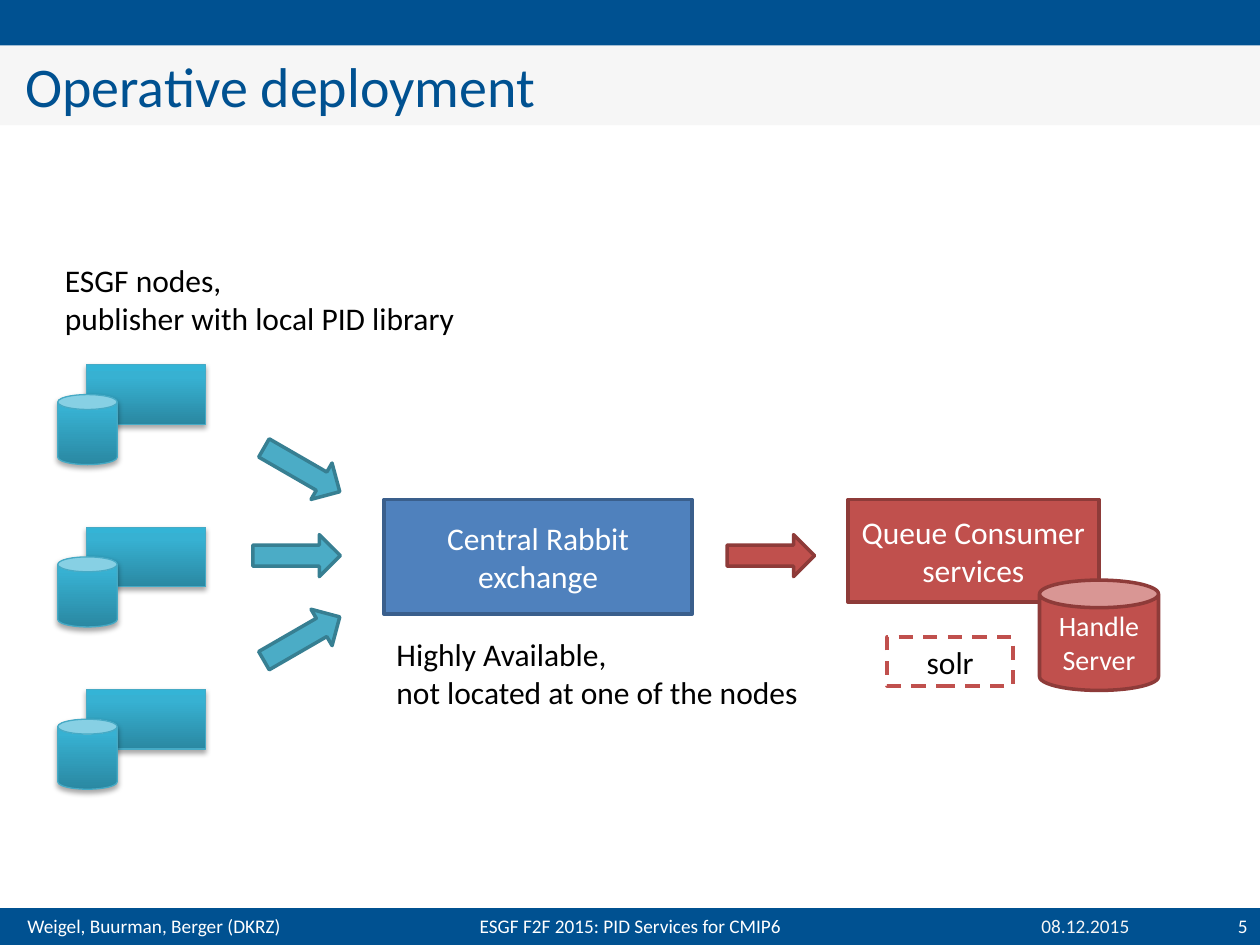
from copy import deepcopy

from lxml.etree import SubElement
from pptx import Presentation
from pptx.dml.color import RGBColor
from pptx.enum.dml import MSO_LINE_DASH_STYLE as DASH
from pptx.enum.shapes import MSO_SHAPE as SHAPE
from pptx.enum.text import MSO_ANCHOR as ANCHOR, PP_ALIGN as ALIGN
from pptx.oxml.ns import qn
from pptx.util import Pt

COLORS = {
    "brand": "005191", "band": "F6F6F6", "white": "FFFFFF", "black": "000000",
    "blue": "4F81BD", "blue_edge": "3A5F8C", "red": "C0504D", "red_edge": "8E3B39",
    "teal": "4BACC6", "teal_edge": "377F92", "node_edge": "46AAC5",
    "node_dark": "2A88A2", "node_mid": "37B1D2", "node_light": "34B4D6",
}


def rgb(name):
    """Return the named palette colour."""
    return RGBColor.from_string(COLORS[name])


def write(shape, text, size=18, color="black", align=ALIGN.LEFT, anchor=ANCHOR.TOP,
          wrap=True, inset=7.2):
    """Put formatted text, one paragraph per line, into a shape."""
    frame = shape.text_frame
    frame.text = text
    frame.word_wrap = wrap
    frame.vertical_anchor = anchor
    frame.margin_left = frame.margin_right = Pt(inset)
    frame.margin_top = frame.margin_bottom = Pt(3.6)
    for paragraph in frame.paragraphs:
        paragraph.alignment = align
        paragraph.font.name = "Calibri"
        paragraph.font.size = Pt(size)
        paragraph.font.color.rgb = rgb(color)


def add_label(shapes, box, text, **style):
    """Add a text box."""
    write(shapes.add_textbox(*map(Pt, box)), text, **style)


def add_block(shapes, kind, box, fill, edge=None, weight=2, text="", **style):
    """Add a flat preset shape with optional outline and centred text."""
    block = shapes.add_shape(kind, *map(Pt, box))
    block.shadow.inherit = False
    block.fill.solid()
    block.fill.fore_color.rgb = rgb(fill)
    if edge:
        block.line.color.rgb = rgb(edge)
        block.line.width = Pt(weight)
    else:
        block.line.fill.background()
    if text:
        write(block, text, **{"color": "white", "align": ALIGN.CENTER,
                              "anchor": ANCHOR.MIDDLE, **style})
    return block


def shade(block):
    """Give a node part its vertical gradient and soft drop shadow."""
    block.fill.gradient()
    block.fill.gradient_angle = 90
    stop_list = block._element.spPr.find(".//" + qn("a:gsLst"))
    stop_list.append(deepcopy(stop_list[0]))
    levels = ((0, "node_dark"), (0.8, "node_mid"), (1, "node_light"))
    for stop, (position, color) in zip(block.fill.gradient_stops, levels):
        stop.position = position
        stop.color.rgb = rgb(color)
    effects = block._element.spPr.find(qn("a:effectLst"))
    shadow = SubElement(effects, qn("a:outerShdw"), blurRad=str(Pt(3.1)),
                        dist=str(Pt(1.8)), dir="5400000", rotWithShape="0")
    tint = SubElement(shadow, qn("a:srgbClr"), val=COLORS["black"])
    SubElement(tint, qn("a:alpha"), val="35000")


def build_header(slide, left, top, width, height):
    """Place the top bar and the title band."""
    bar = 26
    add_block(slide.shapes, SHAPE.RECTANGLE, (left, top, width, bar), "brand")
    title = slide.shapes.title
    title.left, title.top = Pt(left), Pt(top + bar)
    title.width, title.height = Pt(width), Pt(height - bar)
    title.fill.solid()
    title.fill.fore_color.rgb = rgb("band")
    write(title, "Operative deployment", size=32, color="brand",
          anchor=ANCHOR.MIDDLE, inset=14.4)


def build_footer(slide, left, top, width, height):
    """Place the bottom bar with authors, event, date and page number."""
    add_block(slide.shapes, SHAPE.RECTANGLE, (left, top, width, height), "brand")
    entries = (
        (8.5, 187.5, "Weigel, Buurman, Berger (DKRZ)", ALIGN.LEFT, "white"),
        (156, 408.5, "ESGF F2F 2015: PID Services for CMIP6", ALIGN.CENTER, "white"),
        (569.5, 83, "08.12.2015", ALIGN.RIGHT, "band"),
        (660, 60, "5", ALIGN.RIGHT, "white"),
    )
    for offset, span, text, align, color in entries:
        add_label(slide.shapes, (left + offset, top, span, height), text,
                  size=11, color=color, align=align)


def build_node(slide, left, top, width, height):
    """Place one grouped node: a server with its database."""
    node = slide.shapes.add_group_shape().shapes
    server = (left + width - 68, top, 68, 34)
    database = (left, top + height - 40, 34, 40)
    for kind, box in ((SHAPE.RECTANGLE, server), (SHAPE.CAN, database)):
        shade(add_block(node, kind, box, "teal", "node_edge", weight=0.75))


def build_nodes(slide, left, top, width, height):
    """Place the caption, three nodes and the arrows leaving them."""
    add_label(slide.shapes, (left, top, width, 51),
              "ESGF nodes,\npublisher with local PID library", wrap=False)
    node_height, pitch = 57, 92.75
    first = top + height - node_height - 2 * pitch
    for row in range(3):
        build_node(slide, left + 3, first + row * pitch, 84.5, node_height)
    for x, y, angle in ((117.5, 111, 30), (114.5, 160, 0), (117.5, 207.5, -30)):
        arrow = add_block(slide.shapes, SHAPE.RIGHT_ARROW, (left + x, top + y, 50, 24),
                          "teal", "teal_edge")
        arrow.rotation = angle


def build_exchange(slide, left, top, width, height):
    """Place the central exchange, its note and the outgoing arrow."""
    add_block(slide.shapes, SHAPE.RECTANGLE, (left, top, 176, 65.5), "blue", "blue_edge",
              text="Central Rabbit exchange")
    add_label(slide.shapes, (left, top + height - 51, width, 51),
              "Highly Available,\nnot located at one of the nodes", wrap=False)
    add_block(slide.shapes, SHAPE.RIGHT_ARROW, (left + 196, top + 20, 50, 24),
              "red", "red_edge")


def build_consumer(slide, left, top, width, height):
    """Place the consumer services, the handle server and the search index."""
    add_block(slide.shapes, SHAPE.RECTANGLE, (left, top, 143.5, 58.5), "red", "red_edge",
              text="Queue Consumer services")
    add_block(slide.shapes, SHAPE.CAN, (left + width - 68, top + height - 63, 68, 63),
              "red", "red_edge", text="Handle Server", size=16)
    index = add_block(slide.shapes, SHAPE.RECTANGLE, (left + 22.5, top + 78.5, 72, 28),
                      "white", "red", text="solr", color="black")
    index.line.dash_style = DASH.DASH


def main():
    """Build and save the slide."""
    deck = Presentation()
    deck.slide_width, deck.slide_height = Pt(720), Pt(540)
    slide = deck.slides.add_slide(deck.slide_layouts[5])
    build_header(slide, 0, 0, 720, 71.5)
    build_nodes(slide, 30, 145.5, 240, 305.5)
    build_exchange(slide, 219.5, 285.5, 247, 125)
    build_consumer(slide, 484.5, 285.5, 177.5, 109)
    build_footer(slide, 0, 519, 720, 21)
    deck.save("out.pptx")


if __name__ == "__main__":
    main()
